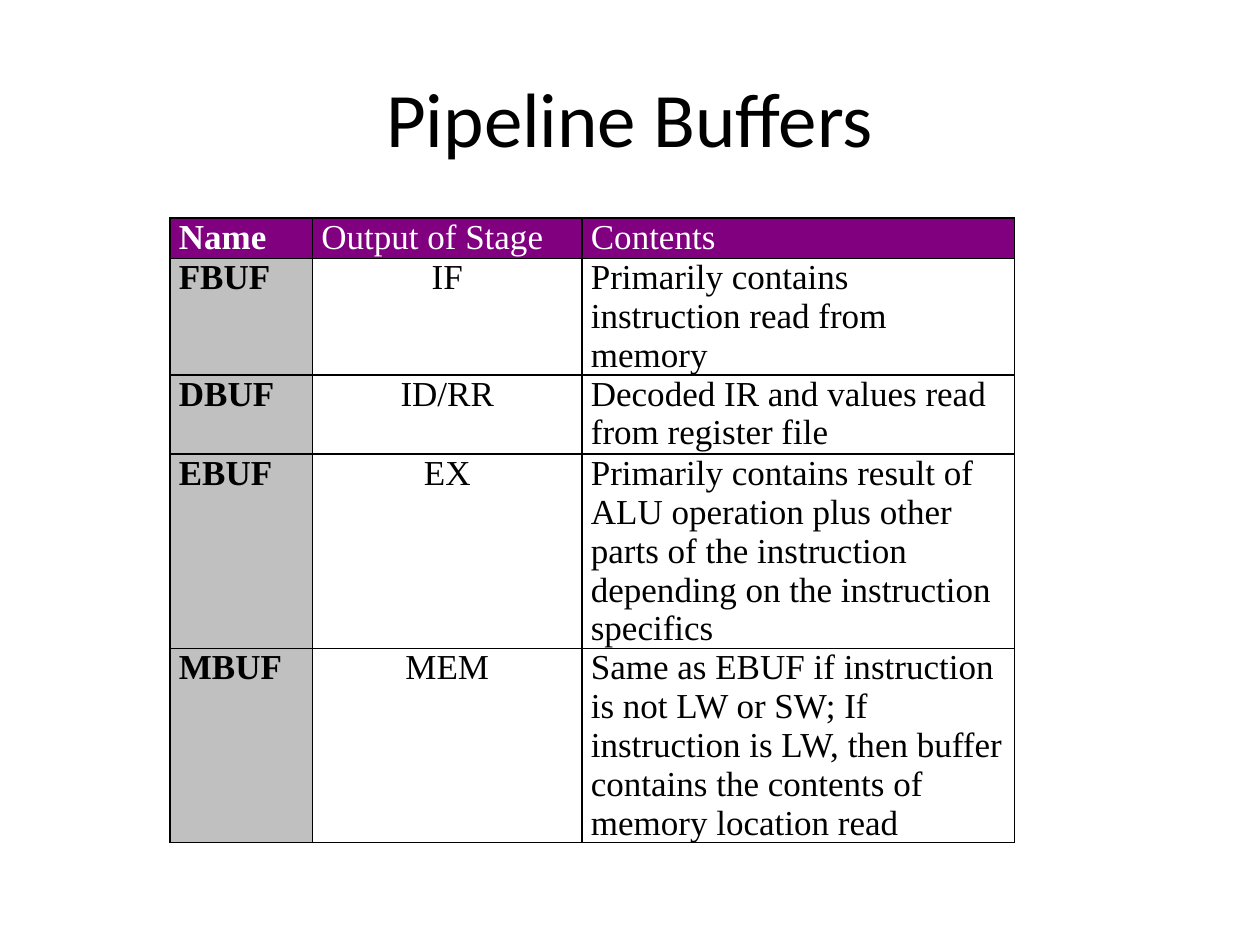
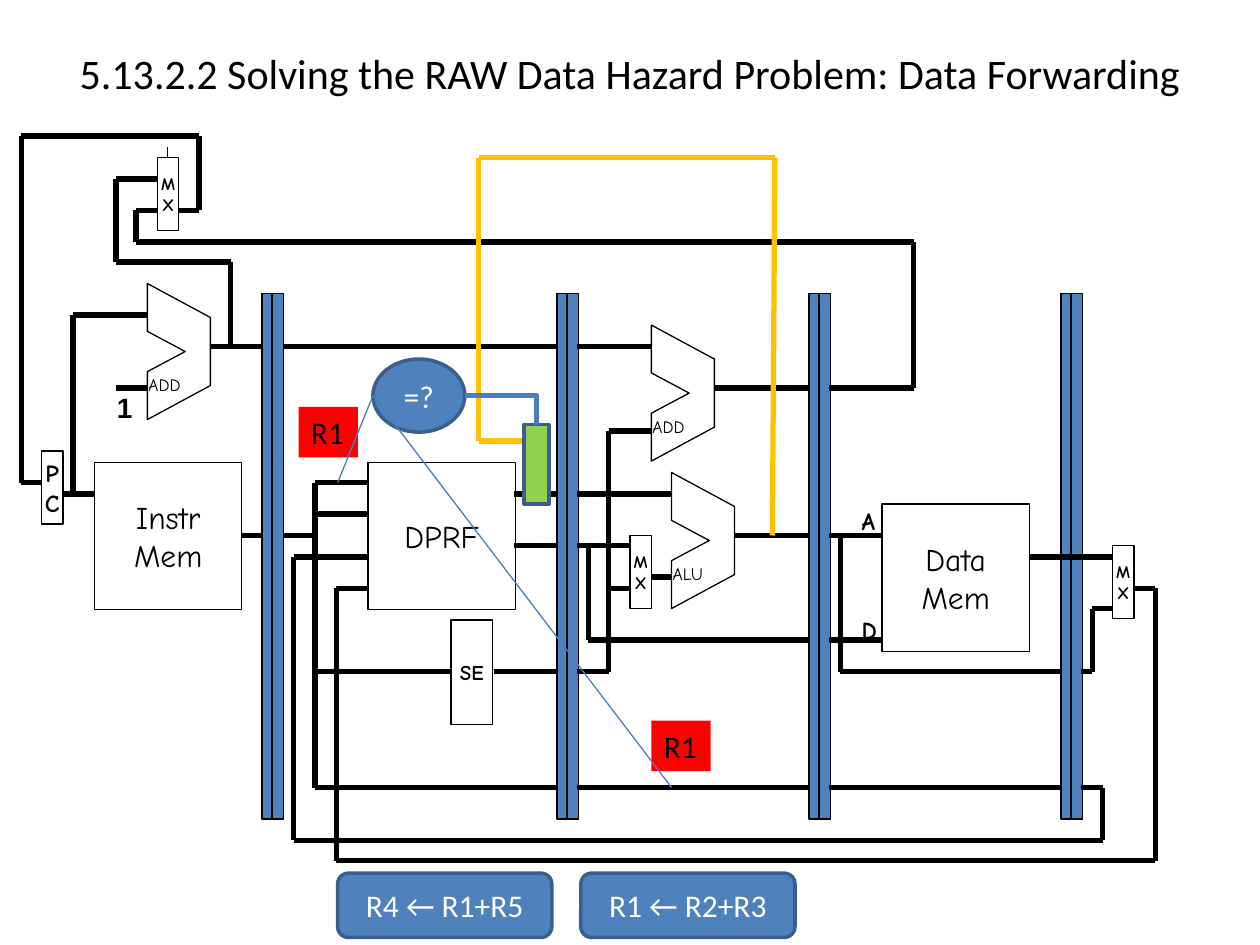
import lxml.etree
import pptx
import pptx.dml.color
import pptx.enum.dml
import pptx.enum.shapes
import pptx.enum.text
import pptx.oxml.ns
import pptx.util

Inches = pptx.util.Inches
Pt = pptx.util.Pt
RGBColor = pptx.dml.color.RGBColor
SHAPE = pptx.enum.shapes.MSO_SHAPE
CONNECTOR = pptx.enum.shapes.MSO_CONNECTOR
ALIGN = pptx.enum.text.PP_ALIGN
ANCHOR = pptx.enum.text.MSO_ANCHOR
qn = pptx.oxml.ns.qn

BLACK = RGBColor(0, 0, 0)
WHITE = RGBColor(255, 255, 255)
PURPLE = RGBColor(0x80, 0, 0x80)
SILVER = RGBColor(0xC0, 0xC0, 0xC0)
BLUE = RGBColor(0x4F, 0x81, 0xBD)
DARK_BLUE = RGBColor(0x3A, 0x5F, 0x8C)
LINK_BLUE = RGBColor(0x4B, 0x7E, 0xBC)
RED = RGBColor(255, 0, 0)
GREEN = RGBColor(0x92, 0xD0, 0x50)
GOLD = RGBColor(0xFF, 0xC0, 0)

SANS, SERIF, COMIC = "Calibri", "Times New Roman", "Comic Neue"
THIN, THICK = 0.75, 3

BUFFER_ROWS = [
    ("Name", "Output of Stage", "Contents"),
    ("FBUF", "IF", "Primarily contains instruction read from memory"),
    ("DBUF", "ID/RR", "Decoded IR and values read from register file"),
    ("EBUF", "EX", "Primarily contains result of ALU operation plus other parts "
                   "of the instruction depending on the instruction specifics"),
    ("MBUF", "MEM", "Same as EBUF if instruction is not LW or SW; If instruction is LW, "
                    "then buffer contains the contents of memory location read"),
]

# text, box, size, bold
UNITS = [
    ("Instr\nMem", (0.75, 3.67, 1.17, 1.17), 18, False),
    ("P\nC", (0.33, 3.58, 0.17, 0.58), 14, True),
    ("M\nX", (1.25, 1.25, 0.17, 0.58), 10, True),
    ("DPRF", (2.92, 3.67, 1.17, 1.17), 18, False),
    ("Data\nMem", (7, 4, 1.17, 1.17), 18, False),
    ("M\nX", (8.83, 4.33, 0.17, 0.58), 10, True),
    ("M\nX", (5, 4.25, 0.17, 0.58), 10, True),
    ("SE", (3.58, 4.92, 0.33, 0.83), 12, True),
]

ADDERS = [("ADD", 1.17, 2.25), ("ADD", 5.17, 2.58), ("ALU", 5.33, 3.75)]
ADDER_OUTLINE = [(0, 1.08), (0.5, 0.81), (0.5, 0.27), (0, 0),
                 (0, 0.38), (0.3, 0.54), (0, 0.7)]

WIRES = [
    # fetch stage
    [(0.5, 3.92), (0.75, 3.92)],
    [(0.58, 3.92), (0.58, 2.5), (1.17, 2.5)],
    [(0.92, 3.08), (1.17, 3.08)],
    [(1.67, 2.75), (2.08, 2.75)],
    [(1.92, 4.25), (2.08, 4.25)],
    [(1.42, 1.67), (1.58, 1.67), (1.58, 1.08), (0.17, 1.08), (0.17, 3.83), (0.33, 3.83)],
    [(1.25, 1.42), (0.92, 1.42), (0.92, 2.08), (1.83, 2.08), (1.83, 2.75)],
    # decode stage
    [(2.25, 2.75), (4.42, 2.75)],
    [(2.25, 4.25), (2.5, 4.25)],
    [(2.92, 3.83), (2.5, 3.83), (2.5, 6.25), (4.42, 6.25)],
    [(2.5, 4.08), (2.92, 4.08)],
    [(2.5, 5.33), (3.58, 5.33)],
    [(3.92, 5.33), (4.42, 5.33)],
    [(4.08, 3.92), (4.42, 3.92)],
    [(4.08, 4.33), (4.42, 4.33)],
    # execute stage
    [(4.58, 2.75), (5.17, 2.75)],
    [(4.58, 3.92), (5.33, 3.92)],
    [(4.58, 4.33), (5, 4.33)],
    [(4.67, 4.33), (4.67, 5.08), (6.42, 5.08)],
    [(4.58, 5.33), (4.83, 5.33), (4.83, 3.42), (5.17, 3.42)],
    [(4.83, 4.67), (5, 4.67)],
    [(5.17, 4.58), (5.33, 4.58)],
    [(5.67, 3.08), (6.42, 3.08)],
    [(5.83, 4.25), (6.42, 4.25)],
    [(4.58, 6.25), (6.42, 6.25)],
    # memory stage
    [(6.58, 3.08), (7.25, 3.08), (7.25, 1.92), (1.08, 1.92), (1.08, 1.67), (1.25, 1.67)],
    [(6.58, 4.25), (7, 4.25)],
    [(6.58, 5.08), (7, 5.08)],
    [(6.67, 4.25), (6.67, 5.33), (8.42, 5.33)],
    [(6.58, 6.25), (8.42, 6.25)],
    [(8.17, 4.42), (8.83, 4.42)],
    # write-back stage
    [(8.58, 5.33), (8.67, 5.33), (8.67, 4.83), (8.83, 4.83)],
    [(8.58, 6.25), (8.75, 6.25), (8.75, 6.67), (2.33, 6.67), (2.33, 4.42), (2.92, 4.42)],
    [(9, 4.67), (9.17, 4.67), (9.17, 6.83), (2.67, 6.83), (2.67, 4.67), (2.92, 4.67)],
]
FORWARDING_PATH = [(6.13, 4.25), (6.15, 1.25), (3.8, 1.25), (3.8, 3.5), (4.14, 3.5)]


def inches(lengths):
    return [Inches(length) for length in lengths]


def write(frame, text, size, font, color=BLACK, bold=False, align=ALIGN.CENTER):
    """Fill a text frame, one paragraph per line of text."""
    frame.text = text
    for paragraph in frame.paragraphs:
        paragraph.alignment = align
        paragraph.font.size = Pt(size)
        paragraph.font.name = font
        paragraph.font.bold = bold
        paragraph.font.color.rgb = color


def add_titled_slide(deck, title, box, size):
    slide = deck.slides.add_slide(deck.slide_layouts.get_by_name("Title Only"))
    heading = slide.shapes.title
    heading.left, heading.top, heading.width, heading.height = inches(box)
    write(heading.text_frame, title, size, SANS)
    heading.text_frame.auto_size = pptx.enum.text.MSO_AUTO_SIZE.NONE
    heading.text_frame.vertical_anchor = ANCHOR.MIDDLE
    return slide


def paint(shape, fill, line, width):
    shape.shadow.inherit = False
    shape.fill.solid()
    shape.fill.fore_color.rgb = fill
    shape.line.color.rgb = line
    shape.line.width = Pt(width)


def add_block(slide, box, fill=WHITE, line=BLACK, width=THIN, kind=SHAPE.RECTANGLE):
    block = slide.shapes.add_shape(kind, *inches(box))
    paint(block, fill, line, width)
    return block


def add_unit(slide, text, box, size, bold):
    frame = add_block(slide, box).text_frame
    write(frame, text, size, COMIC, bold=bold)
    frame.word_wrap = False
    frame.vertical_anchor = ANCHOR.MIDDLE


def add_callout(slide, text, box, kind):
    frame = add_block(slide, box, BLUE, DARK_BLUE, 2, kind).text_frame
    write(frame, text, 18, SANS, WHITE)
    frame.vertical_anchor = ANCHOR.MIDDLE


def add_label(slide, text, box, size, font=COMIC, bold=False, fill=None):
    label = slide.shapes.add_textbox(*inches(box))
    write(label.text_frame, text, size, font, bold=bold, align=ALIGN.LEFT)
    label.text_frame.word_wrap = False
    if fill is not None:
        label.fill.solid()
        label.fill.fore_color.rgb = fill


def add_adder(slide, name, left, top):
    corners = [(Inches(left + x), Inches(top + y)) for x, y in ADDER_OUTLINE]
    builder = slide.shapes.build_freeform(*corners[0])
    builder.add_line_segments(corners[1:], close=True)
    paint(builder.convert_to_shape(), WHITE, BLACK, THIN)
    add_label(slide, name, (left - 0.09, top + 0.67, 0.51, 0.27), 10)


def add_link(slide, start, end, color=BLACK, width=THIN, kind=CONNECTOR.STRAIGHT):
    link = slide.shapes.add_connector(kind, *inches(start + end))
    link.line.color.rgb = color
    link.line.width = Pt(width)
    lxml.etree.SubElement(link._element.spPr, qn("a:effectLst"))
    return link


def add_wire(slide, points, color=BLACK):
    """Join the points with thick straight segments."""
    for start, end in zip(points, points[1:]):
        add_link(slide, start, end, color, THICK)


def add_corner_link(slide, start, end, color):
    """Run across from start, then turn once down to end."""
    link = add_link(slide, start, end, color, THICK, CONNECTOR.ELBOW)
    link._element.spPr.find(qn("a:prstGeom")).set("prst", "bentConnector2")


def add_borders(cell):
    properties = cell._tc.get_or_add_tcPr()
    for side in ("lnL", "lnR", "lnT", "lnB"):
        border = lxml.etree.SubElement(properties, qn("a:" + side), w=str(Pt(1)))
        fill = lxml.etree.SubElement(border, qn("a:solidFill"))
        lxml.etree.SubElement(fill, qn("a:srgbClr"), val=str(BLACK))


def format_cell(cell, text, row, column):
    header, name = row == 0, column == 0
    cell.margin_left = cell.margin_right = Inches(0.07)
    cell.margin_top = cell.margin_bottom = 0
    write(cell.text_frame, text, 20, SERIF, WHITE if header else BLACK, name,
          ALIGN.CENTER if column == 1 and not header else ALIGN.LEFT)
    add_borders(cell)
    if header or name:
        cell.fill.solid()
        cell.fill.fore_color.rgb = PURPLE if header else SILVER
    else:
        cell.fill.background()


def add_buffer_table(slide):
    table = slide.shapes.add_table(5, 3, *inches((1.35, 1.73, 6.7, 4.1))).table
    table.first_row = table.horz_banding = False
    for column, width in zip(table.columns, (1.13, 2.14, 3.43)):
        column.width = Inches(width)
    for row, height in zip(table.rows, (0.32, 0.63, 0.63, 1.26, 1.26)):
        row.height = Inches(height)
    for r, texts in enumerate(BUFFER_ROWS):
        for c, text in enumerate(texts):
            format_cell(table.cell(r, c), text, r, c)


def add_pipeline(slide):
    for left in (2.08, 4.42, 6.42, 8.42):
        add_block(slide, (left, 2.33, 0.17, 4.17), BLUE)
        middle = left + 0.08
        add_link(slide, (middle, 2.33), (middle, 6.5))
    for unit in UNITS:
        add_unit(slide, *unit)
    for adder in ADDERS:
        add_adder(slide, *adder)
    for points in WIRES:
        add_wire(slide, points)
    add_label(slide, "1", (0.83, 3.05, 0.32, 0.37), 16, "Arial", True)
    for port, top in (("A", 3.97), ("D", 4.83)):
        add_label(slide, port, (6.74, top, 0.34, 0.33), 14, bold=True)
    select = add_link(slide, (1.33, 1.17), (1.33, 1.25))
    select.line.dash_style = pptx.enum.dml.MSO_LINE.DASH_DOT_DOT


def add_forwarding(slide):
    for text, left in (("R4 ← R1+R5", 2.68), ("R1 ← R2+R3", 4.61)):
        add_callout(slide, text, (left, 6.93, 1.7, 0.51), SHAPE.ROUNDED_RECTANGLE)
    for left, top in ((2.37, 3.23), (5.17, 5.72)):
        add_label(slide, "R1", (left, top, 0.47, 0.4), 18, SANS, fill=RED)
    add_block(slide, (4.16, 3.37, 0.2, 0.63), GREEN, DARK_BLUE, 2)
    add_wire(slide, FORWARDING_PATH, GOLD)
    add_callout(slide, "=?", (2.96, 2.85, 0.73, 0.58), SHAPE.OVAL)
    add_corner_link(slide, (3.69, 3.14), (4.26, 3.37), LINK_BLUE)
    for register in ((2.68, 3.83), (5.33, 6.25)):
        add_link(slide, register, (2.96, 3.14), LINK_BLUE)


def main():
    deck = pptx.Presentation()
    deck.slide_width, deck.slide_height = Inches(10), Inches(7.5)
    buffers = add_titled_slide(deck, "Pipeline Buffers", (0.5, 0.3, 9, 1.25), 44)
    add_buffer_table(buffers)
    hazard = add_titled_slide(
        deck, "5.13.2.2 Solving the RAW Data Hazard Problem: Data Forwarding",
        (0.5, 0.19, 9, 0.78), 24)
    add_pipeline(hazard)
    add_forwarding(hazard)
    deck.save("out.pptx")


if __name__ == "__main__":
    main()
